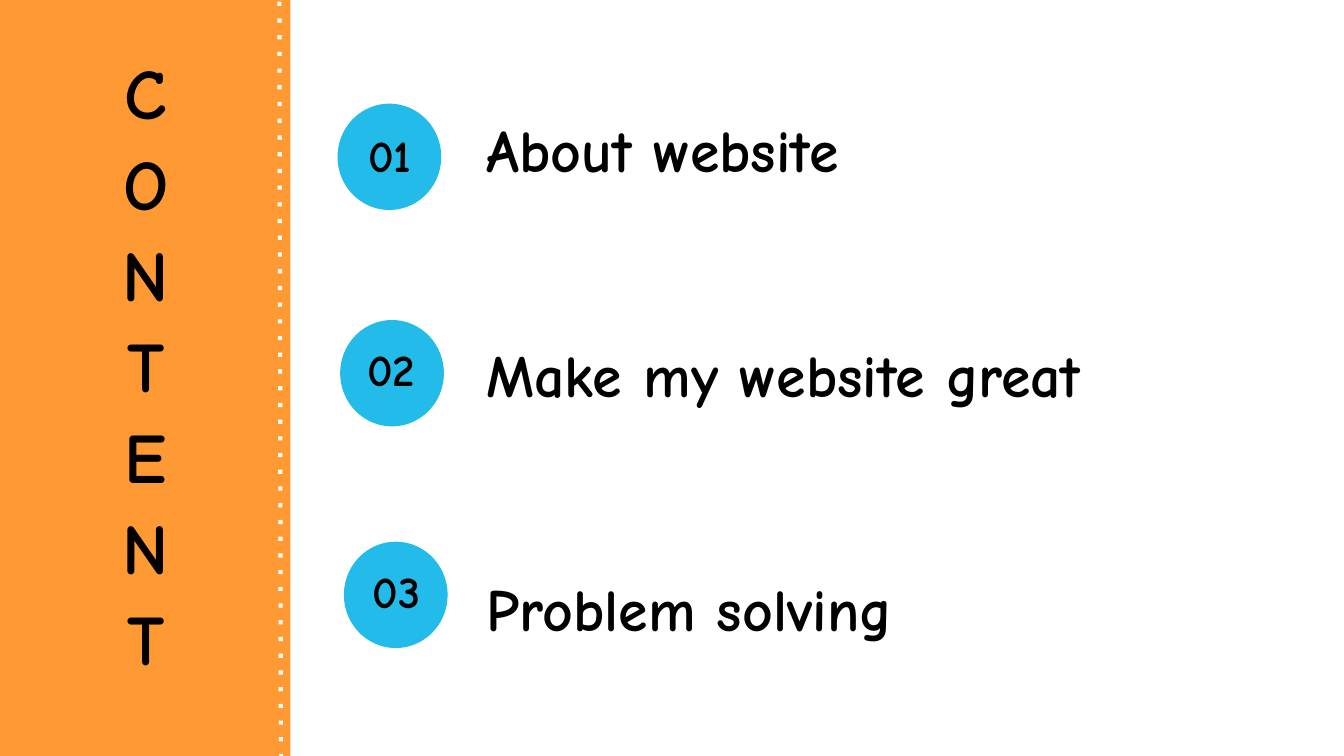
"""Build a contents slide with a vertical title band and three numbered topics."""
from dataclasses import dataclass

from lxml import etree
from pptx import Presentation
from pptx.dml.color import RGBColor
from pptx.enum.shapes import MSO_CONNECTOR, MSO_SHAPE
from pptx.enum.text import MSO_ANCHOR, PP_ALIGN
from pptx.oxml.ns import qn
from pptx.shapes.autoshape import Shape
from pptx.shapes.shapetree import GroupShapes, SlideShapes
from pptx.util import Cm, Pt

RECTANGLE = MSO_SHAPE.RECTANGLE
OVAL = MSO_SHAPE.OVAL
STRAIGHT = MSO_CONNECTOR.STRAIGHT
MIDDLE = MSO_ANCHOR.MIDDLE
LEFT = PP_ALIGN.LEFT
CENTER = PP_ALIGN.CENTER


@dataclass(frozen=True)
class Theme:
    font: str = "Comic Neue"
    band: RGBColor = RGBColor(0xFF, 0x99, 0x33)
    badge: RGBColor = RGBColor(0x22, 0xBB, 0xEA)
    ink: RGBColor = RGBColor(0x00, 0x00, 0x00)
    paper: RGBColor = RGBColor(0xFF, 0xFF, 0xFF)
    title_size: float = 38
    topic_size: float = 32
    number_size: float = 24
    space_before: float = 3.2
    stitch_width: float = 2.25


@dataclass(frozen=True)
class Frame:
    left: float
    top: float
    width: float
    height: float

    def lengths(self) -> tuple[Cm, Cm, Cm, Cm]:
        return Cm(self.left), Cm(self.top), Cm(self.width), Cm(self.height)


@dataclass(frozen=True)
class Topic:
    number: str
    caption: str
    badge: Frame
    label: Frame
    text: Frame


THEME = Theme()
PAGE_WIDTH, PAGE_HEIGHT = 25.4, 14.29
BADGE_SIZE = (1.96, 2.01)
LABEL_HEIGHT = 0.94
TEXT_LEFT, TEXT_HEIGHT = 8.94, 2.01

TOPICS = [
    Topic("01", "About website", Frame(6.38, 1.96, *BADGE_SIZE),
          Frame(6.5, 2.46, 1.73, LABEL_HEIGHT), Frame(TEXT_LEFT, 1.8, 15.95, TEXT_HEIGHT)),
    Topic("02", "Make my website great", Frame(6.43, 6.05, *BADGE_SIZE),
          Frame(6.5, 6.5, 1.78, LABEL_HEIGHT), Frame(TEXT_LEFT, 6.05, 15.95, TEXT_HEIGHT)),
    Topic("03", "Problem solving", Frame(6.5, 10.24, *BADGE_SIZE),
          Frame(6.6, 10.69, 1.78, LABEL_HEIGHT), Frame(TEXT_LEFT, 10.49, 13.69, TEXT_HEIGHT)),
]


def add_filled(shapes: SlideShapes | GroupShapes, kind: MSO_SHAPE,
               frame: Frame, color: RGBColor) -> Shape:
    shape = shapes.add_shape(kind, *frame.lengths())
    shape.shadow.inherit = False
    shape.fill.solid()
    shape.fill.fore_color.rgb = color
    shape.line.fill.background()
    return shape


def add_text(shapes: SlideShapes | GroupShapes, frame: Frame, lines: list[str],
             size: float, align: PP_ALIGN) -> Shape:
    box = shapes.add_textbox(*frame.lengths())
    body = box.text_frame
    body.word_wrap = True
    body.vertical_anchor = MIDDLE
    for index, line in enumerate(lines):
        para = body.add_paragraph() if index else body.paragraphs[0]
        para.alignment = align
        para.space_before = Pt(THEME.space_before)
        span = para.add_run()
        span.text = line
        span.font.name = THEME.font
        span.font.size = Pt(size)
        span.font.bold = True
        span.font.color.rgb = THEME.ink
    return box


def add_stitching(shapes: SlideShapes) -> None:
    stitching = shapes.add_connector(STRAIGHT, Cm(5.31), Cm(14.33), Cm(5.28), Cm(0))
    stitching.line.color.rgb = THEME.paper
    stitching.line.width = Pt(THEME.stitch_width)
    properties = stitching._element.spPr
    etree.SubElement(properties.find(qn("a:ln")), qn("a:prstDash"), val="dot")
    etree.SubElement(properties, qn("a:effectLst"))


def add_topic(shapes: SlideShapes, topic: Topic) -> None:
    group = shapes.add_group_shape()
    add_filled(group.shapes, OVAL, topic.badge, THEME.badge)
    add_text(group.shapes, topic.label, [topic.number], THEME.number_size, CENTER)
    add_text(shapes, topic.text, [topic.caption], THEME.topic_size, LEFT)


def main() -> None:
    deck = Presentation()
    deck.slide_width, deck.slide_height = Cm(PAGE_WIDTH), Cm(PAGE_HEIGHT)
    page = deck.slides.add_slide(deck.slide_layouts[6])
    page.background.fill.solid()
    page.background.fill.fore_color.rgb = THEME.paper

    add_filled(page.shapes, RECTANGLE, Frame(-0.05, 0, 5.54, PAGE_HEIGHT), THEME.band)
    add_text(page.shapes, Frame(0.2, 6.12, 5.11, 1.52), list("CONTENT"),
             THEME.title_size, CENTER)
    add_stitching(page.shapes)
    for topic in TOPICS:
        add_topic(page.shapes, topic)
    deck.save("out.pptx")


if __name__ == "__main__":
    main()
